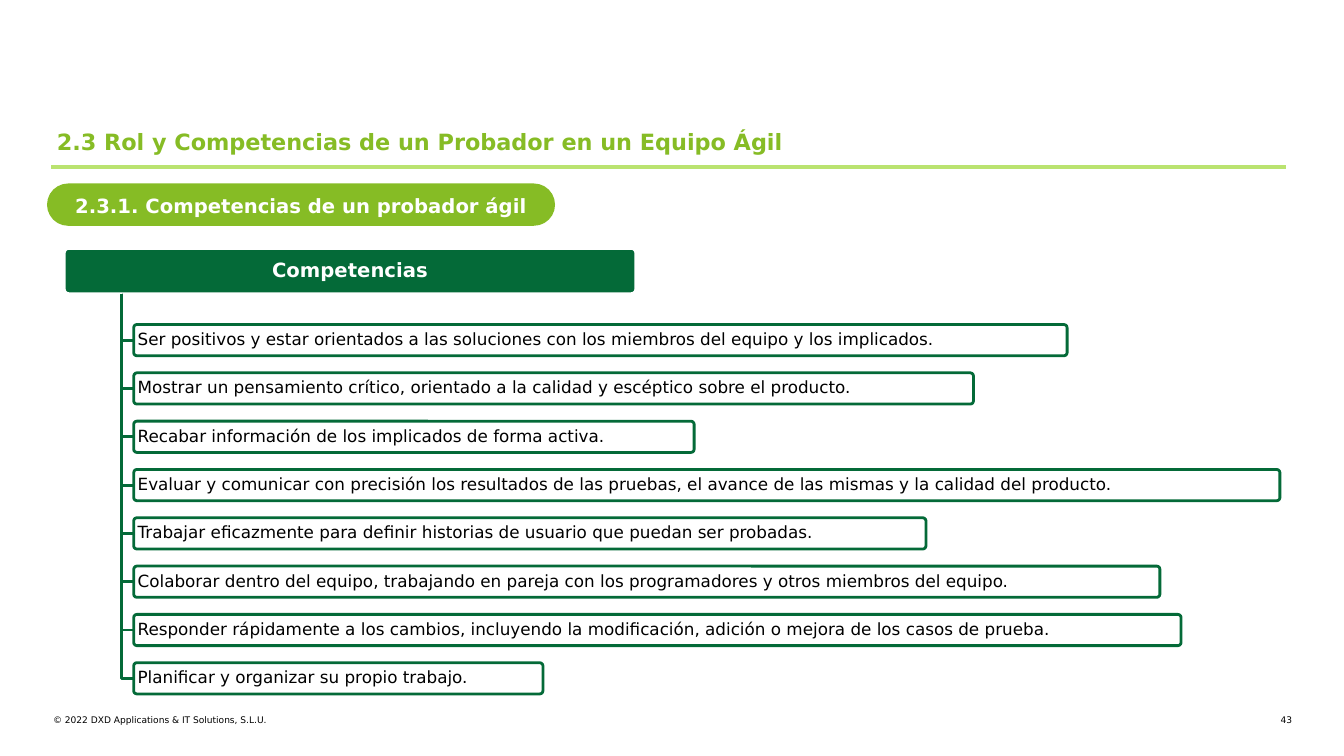
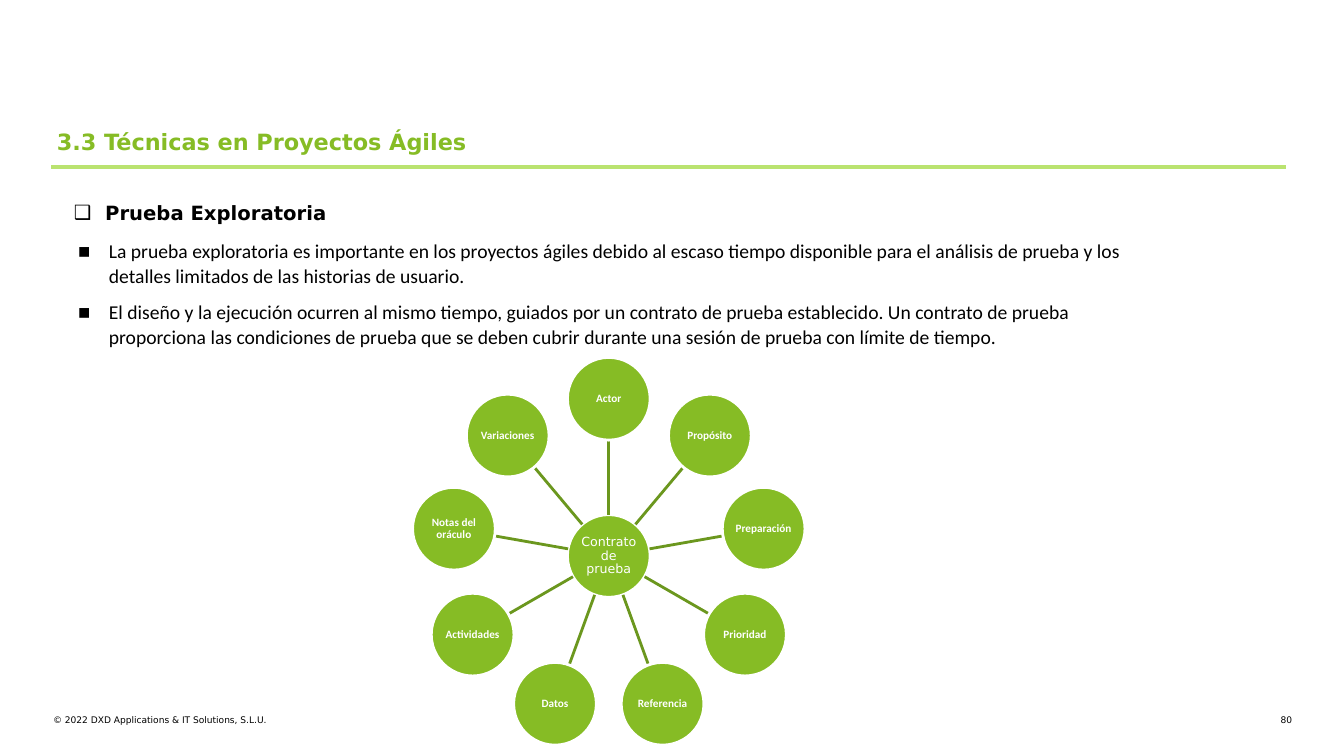
from math import cos, radians, sin

from lxml.etree import SubElement
from pptx import Presentation
from pptx.dml.color import RGBColor
from pptx.enum.shapes import MSO_CONNECTOR, MSO_SHAPE
from pptx.enum.text import MSO_ANCHOR, PP_ALIGN
from pptx.oxml.ns import qn
from pptx.util import Inches, Pt

W, H = Inches(13.333), Inches(7.5)
SANS, BODY = "DejaVu Sans", "Calibri"
LIME, PALE, OLIVE = "86BC25", "BAE370", "6B971E"
GREEN, WHITE, BLACK = "046A38", "FFFFFF", "000000"


# Lengths: percent of the slide's width and height
def x(share):
    return round(W * share / 100)


def y(share):
    return round(H * share / 100)


def color(value):
    return RGBColor.from_string(value)


# Text
def write(p, text, font=SANS, size=14, ink=BLACK, bold=False, align=PP_ALIGN.LEFT,
          leading=None, after=None, bullet=None, indent=0, hang=0):
    pPr = p._p.get_or_add_pPr()
    if bullet:
        pPr.set("marL", str(Inches(indent)))
        pPr.set("indent", str(-Inches(hang)))
        SubElement(pPr, qn("a:buFont")).set("typeface", SANS)
        SubElement(pPr, qn("a:buChar")).set("char", bullet)
    p.alignment = align
    if leading:
        p.line_spacing = leading
    if after:
        p.space_after = Pt(after)
    r = p.add_run()
    r.text = text
    r.font.name, r.font.size, r.font.bold = font, Pt(size), bold
    r.font.color.rgb = color(ink)


def set_frame(tf, inset=0.0):
    tf.word_wrap = True
    tf.margin_left = tf.margin_right = Inches(inset)
    tf.margin_top = tf.margin_bottom = Inches(inset)


def add_text(s, box, paragraphs, **style):
    tf = s.shapes.add_textbox(*box).text_frame
    set_frame(tf)
    for i, text in enumerate(paragraphs):
        write(tf.add_paragraph() if i else tf.paragraphs[0], text, **style)


# Shapes and lines
def add_block(s, kind, box, text, fill, line=None, corner=None, inset=0.03, **style):
    sp = s.shapes.add_shape(kind, *box)
    sp.shadow.inherit = False
    sp.fill.solid()
    sp.fill.fore_color.rgb = color(fill)
    if line:
        sp.line.color.rgb = color(line)
        sp.line.width = Pt(2)
    else:
        sp.line.fill.background()
    if corner is not None:
        sp.adjustments[0] = corner
    tf = sp.text_frame
    set_frame(tf, inset)
    tf.vertical_anchor = MSO_ANCHOR.MIDDLE
    write(tf.paragraphs[0], text, **style)


def add_line(s, start, end, ink, width=2):
    cx = s.shapes.add_connector(MSO_CONNECTOR.STRAIGHT, *start, *end)
    cx.line.color.rgb = color(ink)
    cx.line.width = Pt(width)
    SubElement(cx._element.spPr, qn("a:effectLst"))


def add_elbow(s, start, end, ink):
    builder = s.shapes.build_freeform(*start, scale=1.0)
    builder.add_line_segments([(start[0], end[1]), end], close=False)
    sp = builder.convert_to_shape()
    sp.shadow.inherit = False
    sp.fill.background()
    sp.line.color.rgb = color(ink)
    sp.line.width = Pt(2)


# Shared slide frame: footer, number, rule and title
def add_slide(prs, title, number):
    s = prs.slides.add_slide(prs.slide_layouts[6])
    add_text(s, (x(3.95), y(94.5), x(43.95), y(1.5)),
             ["© 2022 DXD Applications & IT Solutions, S.L.U."], size=6.5)
    add_text(s, (x(93.6), y(94.5), x(2.55), y(1.5)), [number],
             size=6.5, align=PP_ALIGN.RIGHT)
    add_line(s, (x(3.8), y(22.13)), (x(95.68), y(22.13)), PALE, 3)
    add_text(s, (x(4.23), y(16.93), x(91), y(3.6)), [title],
             size=16, ink=LIME, bold=True)
    return s


# Header with an elbow to each item
def add_tree(s, header, items):
    trunk, left, top, step, height = x(9.03), x(9.95), y(42.93), y(6.39), y(4.13)
    add_block(s, MSO_SHAPE.ROUNDED_RECTANGLE, (x(4.78), y(32.85), x(42.53), y(6)), header,
              GREEN, WHITE, corner=0.1, ink=WHITE, bold=True,
              align=PP_ALIGN.CENTER, leading=0.9)
    for i, (text, width) in enumerate(items):
        item_top = top + i * step
        add_elbow(s, (trunk, y(38.85)), (left, item_top + height // 2), GREEN)
        add_block(s, MSO_SHAPE.ROUNDED_RECTANGLE, (left, item_top, x(width), height),
                  text, WHITE, GREEN, corner=0.1, size=12, leading=0.9)


# Hub with satellites at equal angles, clockwise from the top
def add_wheel(s, hub, labels):
    cx, cy, orbit, radius = x(45.3), y(73.55), y(20.8), y(5.47)

    def at(angle, distance):
        return round(cx + distance * sin(angle)), round(cy - distance * cos(angle))

    def add_disc(center, text, **style):
        box = (center[0] - radius, center[1] - radius, 2 * radius, 2 * radius)
        add_block(s, MSO_SHAPE.OVAL, box, text, LIME, WHITE, inset=0.01, ink=WHITE,
                  align=PP_ALIGN.CENTER, leading=0.9, **style)

    add_disc((cx, cy), hub, size=9)
    for i, label in enumerate(labels):
        angle = radians(i * 360 / len(labels))
        add_line(s, at(angle, radius), at(angle, orbit - radius), OLIVE)
        add_disc(at(angle, orbit), label, font=BODY, size=8, bold=True)


def add_skills_slide(prs):
    s = add_slide(prs, "2.3 Rol y Competencias de un Probador en un Equipo Ágil", "43")
    add_tree(s, "Competencias", [
        ("Ser positivos y estar orientados a las soluciones con los miembros del equipo "
         "y los implicados.", 69.45),
        ("Mostrar un pensamiento crítico, orientado a la calidad y escéptico sobre el "
         "producto.", 62.48),
        ("Recabar información de los implicados de forma activa.", 41.7),
        ("Evaluar y comunicar con precisión los resultados de las pruebas, el avance de "
         "las mismas y la calidad del producto.", 85.28),
        ("Trabajar eficazmente para definir historias de usuario que puedan ser "
         "probadas.", 58.95),
        ("Colaborar dentro del equipo, trabajando en pareja con los programadores y "
         "otros miembros del equipo.", 76.35),
        ("Responder rápidamente a los cambios, incluyendo la modificación, adición o "
         "mejora de los casos de prueba.", 77.93),
        ("Planificar y organizar su propio trabajo.", 30.45),
    ])
    add_block(s, MSO_SHAPE.ROUNDED_RECTANGLE, (x(3.5), y(24.27), x(37.8), y(5.6)),
              "2.3.1. Competencias de un probador ágil", LIME, corner=0.5, inset=0.1,
              ink=WHITE, bold=True, align=PP_ALIGN.CENTER, leading=1.06)


def add_exploratory_slide(prs):
    s = add_slide(prs, "3.3 Técnicas en Proyectos Ágiles", "80")
    add_text(s, (x(3.25), y(26.53), x(91), y(3.2)), ["Prueba Exploratoria"],
             bold=True, bullet="❑", indent=0.61, hang=0.31)
    add_text(s, (x(5.78), y(31.36), x(81.3), y(14.8)), [
        "La prueba exploratoria es importante en los proyectos ágiles debido al escaso "
        "tiempo disponible para el análisis de prueba y los detalles limitados de las "
        "historias de usuario.",
        "El diseño y la ejecución ocurren al mismo tiempo, guiados por un contrato de "
        "prueba establecido. Un contrato de prueba proporciona las condiciones de prueba "
        "que se deben cubrir durante una sesión de prueba con límite de tiempo.",
    ], font=BODY, leading=1.07, after=8, bullet="▪", indent=0.31, hang=0.31)
    add_wheel(s, "Contrato de prueba", [
        "Actor", "Propósito", "Preparación", "Prioridad", "Referencia", "Datos",
        "Actividades", "Notas del oráculo", "Variaciones"])


def main():
    prs = Presentation()
    prs.slide_width, prs.slide_height = W, H
    add_skills_slide(prs)
    add_exploratory_slide(prs)
    prs.save("out.pptx")


if __name__ == "__main__":
    main()
